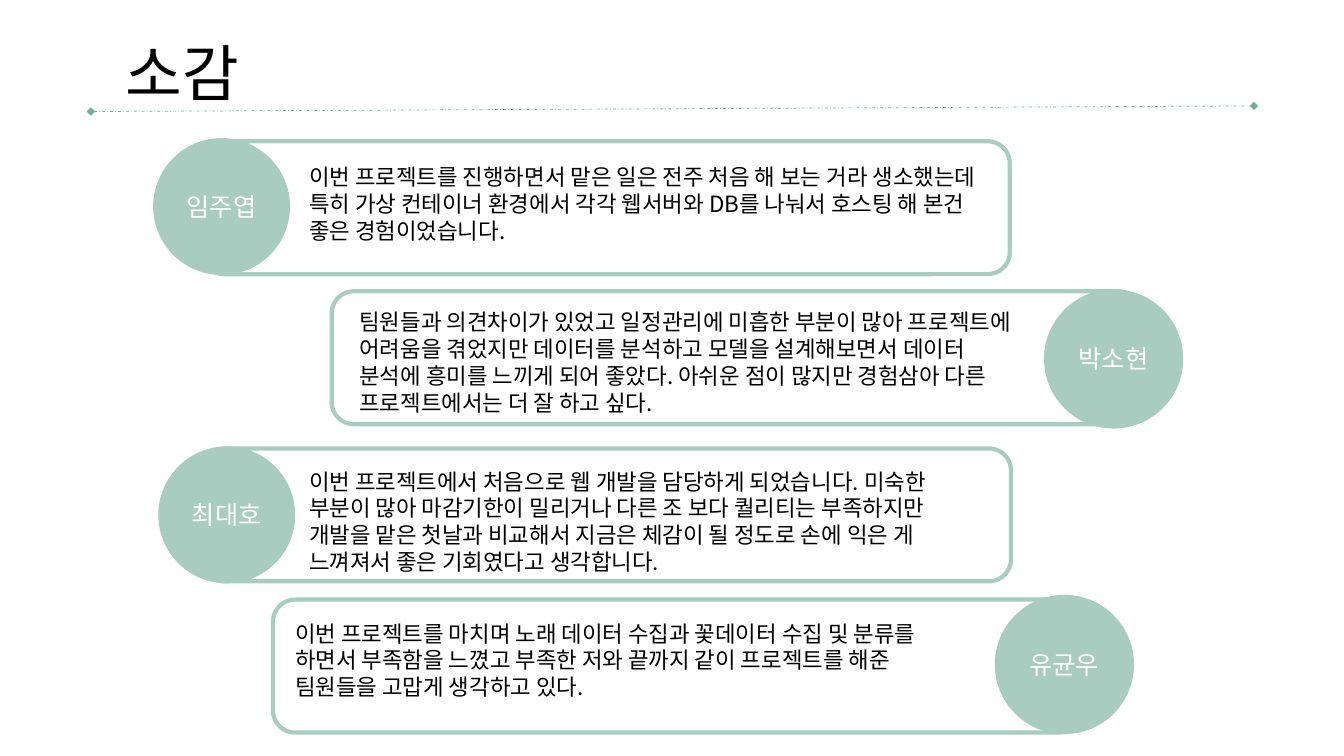
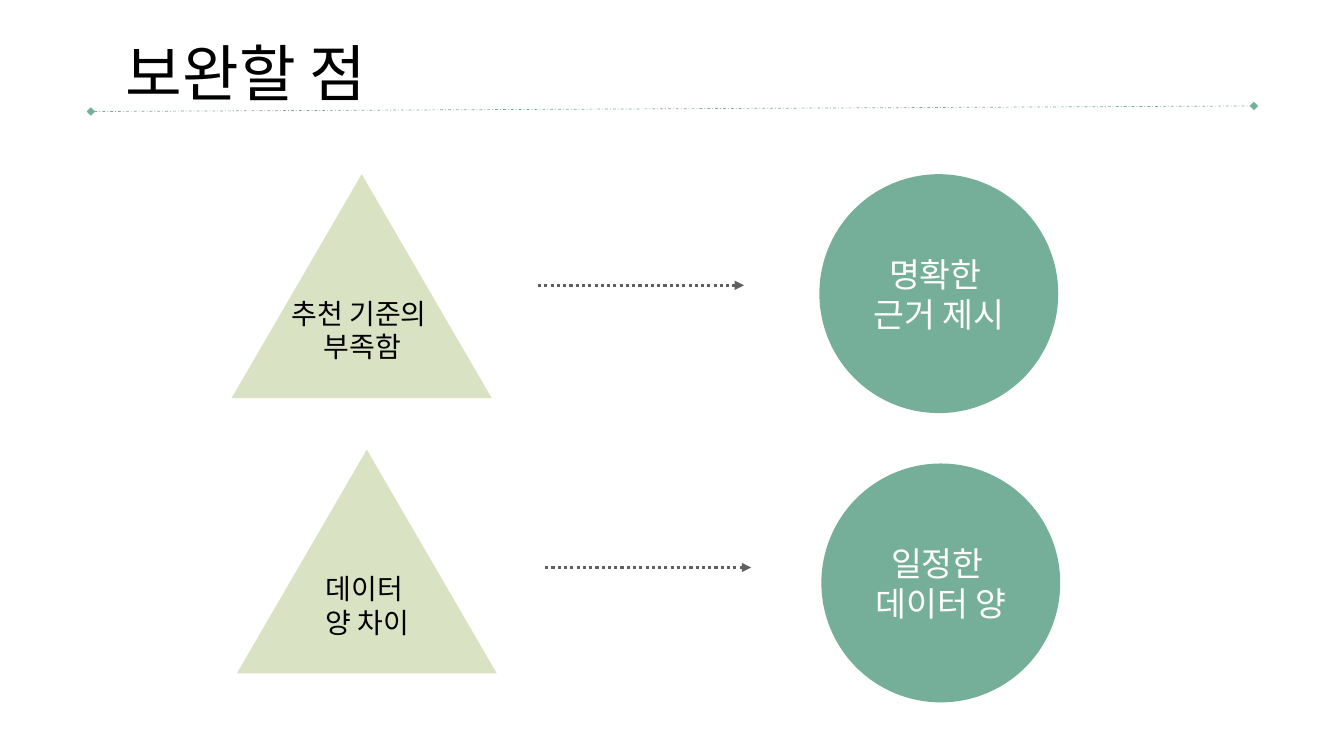
"""Build two slides: the team's impressions and the points to improve."""
from lxml.etree import SubElement
from pptx import Presentation
from pptx.dml.color import RGBColor
from pptx.enum.dml import MSO_LINE
from pptx.enum.shapes import MSO_CONNECTOR, MSO_SHAPE
from pptx.enum.text import MSO_ANCHOR, MSO_AUTO_SIZE, PP_ALIGN
from pptx.oxml.ns import qn
from pptx.util import Cm, Pt

FONT = "Noto Sans CJK KR"
BLACK = RGBColor(0x00, 0x00, 0x00)
WHITE = RGBColor(0xFF, 0xFF, 0xFF)
GREEN = RGBColor(0x75, 0xAF, 0x99)
MINT = RGBColor(0xA8, 0xCC, 0xBF)
LIME = RGBColor(0xD9, 0xE2, 0xC2)
GRAY = RGBColor(0x5F, 0x5F, 0x5F)

IMPRESSIONS_TITLE = "소감"
IMPRESSIONS = [
    {"name": "임주엽", "frame": (5.08, 3.56), "badge": (3.86, 3.48, 3.45),
     "words": (7.54, 3.99, 17.78, 2.31),
     "text": "이번 프로젝트를 진행하면서 맡은 일은 전주 처음 해 보는 거라 생소했는데 "
             "특히 가상 컨테이너 환경에서 각각 웹서버와 DB를 나눠서 호스팅 해 본건 "
             "좋은 경험이었습니다."},
    {"name": "박소현", "frame": (8.36, 7.34), "badge": (26.31, 7.29, 3.51),
     "words": (8.81, 7.65, 17.04, 3),
     "text": "팀원들과 의견차이가 있었고 일정관리에 미흡한 부분이 많아 프로젝트에 "
             "어려움을 겪었지만 데이터를 분석하고 모델을 설계해보면서 데이터 분석에 "
             "흥미를 느끼게 되어 좋았다. 아쉬운 점이 많지만 경험삼아 다른 "
             "프로젝트에서는 더 잘 하고 싶다."},
    {"name": "최대호", "frame": (5.11, 11.3), "badge": (3.99, 11.25, 3.45),
     "words": (7.54, 11.66, 17.04, 3),
     "text": "이번 프로젝트에서 처음으로 웹 개발을 담당하게 되었습니다. 미숙한 부분이 "
             "많아 마감기한이 밀리거나 다른 조 보다 퀄리티는 부족하지만 개발을 맡은 "
             "첫날과 비교해서 지금은 체감이 될 정도로 손에 익은 게 느껴져서 좋은 "
             "기회였다고 생각합니다."},
    {"name": "유균우", "frame": (6.88, 15.11), "badge": (25.07, 14.99, 3.51),
     "words": (7.19, 15.49, 17.58, 2.31),
     "text": "이번 프로젝트를 마치며 노래 데이터 수집과 꽃데이터 수집 및 분류를 하면서 "
             "부족함을 느꼈고 부족한 저와 끝까지 같이 프로젝트를 해준 팀원들을 고맙게 "
             "생각하고 있다."},
]
FRAME_SIZE = (20.37, 3.35)

IMPROVEMENTS_TITLE = "보완할 점"
IMPROVEMENTS = [
    {"problem": "추천 기준의 \n부족함", "triangle": (5.84, 4.39),
     "answer": "명확한 \n근거 제시", "circle": (20.65, 4.39), "arrow": (13.56, 7.19)},
    {"problem": "데이터 \n양 차이", "triangle": (5.97, 11.33),
     "answer": "일정한 \n데이터 양", "circle": (20.7, 11.68), "arrow": (13.74, 14.3)},
]
PROBLEM = {"kind": MSO_SHAPE.ISOSCELES_TRIANGLE, "size": (6.55, 5.64), "fill": LIME,
           "label": (0.71, 2.95, 5.16, 1.96), "points": 20, "color": BLACK}
ANSWER = {"kind": MSO_SHAPE.OVAL, "size": (6.02, 6.02), "fill": GREEN,
          "label": (0.05, 1.88, 5.94, 2.31), "points": 24, "color": WHITE}
ARROW_LENGTH = 5.19


def write(frame, text, points, color, align=PP_ALIGN.LEFT):
    frame.text = text
    frame.word_wrap = True
    for para in frame.paragraphs:
        para.alignment = align
        for span in para.runs:
            span.font.name = FONT
            span.font.size = Pt(points)
            span.font.color.rgb = color
            SubElement(span.font._element, qn("a:ea"), typeface=FONT)


def add_text(shapes, place, text, points, color, align=PP_ALIGN.LEFT):
    box = shapes.add_textbox(*map(Cm, place))
    write(box.text_frame, text, points, color, align)
    box.text_frame.auto_size = MSO_AUTO_SIZE.SHAPE_TO_FIT_TEXT


def add_solid(shapes, kind, place, fill):
    shape = shapes.add_shape(kind, *map(Cm, place))
    shape.shadow.inherit = False
    shape.fill.solid()
    shape.fill.fore_color.rgb = fill
    shape.line.fill.background()
    return shape


def add_line(page, ends, color, width, dash, heads):
    line = page.shapes.add_connector(MSO_CONNECTOR.STRAIGHT, *map(Cm, ends))
    line.line.color.rgb = color
    line.line.width = Pt(width)
    line.line.dash_style = dash
    outline = line.line._get_or_add_ln()
    for tag, kind in heads.items():
        SubElement(outline, qn(f"a:{tag}"), type=kind)
    SubElement(line._element.spPr, qn("a:effectLst"))


def add_page(deck, title):
    page = deck.slides.add_slide(deck.slide_layouts[6])
    add_text(page.shapes, (2.92, 0.76, 11.63, 2.13), title, 44, BLACK)
    add_line(page, (2.29, 2.81, 31.6, 2.67), GREEN, 0.5, MSO_LINE.DASH_DOT,
             {"headEnd": "diamond", "tailEnd": "diamond"})
    return page


def add_impression(page, item):
    frame = page.shapes.add_shape(
        MSO_SHAPE.ROUNDED_RECTANGLE, *map(Cm, item["frame"] + FRAME_SIZE))
    frame.shadow.inherit = False
    frame.fill.background()
    frame.line.color.rgb = MINT
    frame.line.width = Pt(3)
    left, top, size = item["badge"]
    badge = add_solid(page.shapes, MSO_SHAPE.OVAL, (left, top, size, size), MINT)
    write(badge.text_frame, item["name"], 18, WHITE, PP_ALIGN.CENTER)
    badge.text_frame.vertical_anchor = MSO_ANCHOR.MIDDLE
    add_text(page.shapes, item["words"], item["text"], 16, BLACK)


def add_labelled(page, style, corner, text):
    shapes = page.shapes.add_group_shape().shapes
    add_solid(shapes, style["kind"], corner + style["size"], style["fill"])
    left, top = corner
    dx, dy, width, height = style["label"]
    add_text(shapes, (left + dx, top + dy, width, height), text,
             style["points"], style["color"], PP_ALIGN.CENTER)


def add_improvement(page, item):
    add_labelled(page, PROBLEM, item["triangle"], item["problem"])
    add_labelled(page, ANSWER, item["circle"], item["answer"])
    left, top = item["arrow"]
    add_line(page, (left, top, left + ARROW_LENGTH, top), GRAY, 2.25,
             MSO_LINE.ROUND_DOT, {"tailEnd": "triangle"})


def main():
    deck = Presentation()
    deck.slide_width, deck.slide_height = Cm(33.87), Cm(19.05)
    page = add_page(deck, IMPRESSIONS_TITLE)
    for item in IMPRESSIONS:
        add_impression(page, item)
    page = add_page(deck, IMPROVEMENTS_TITLE)
    for item in IMPROVEMENTS:
        add_improvement(page, item)
    deck.save("out.pptx")


if __name__ == "__main__":
    main()
